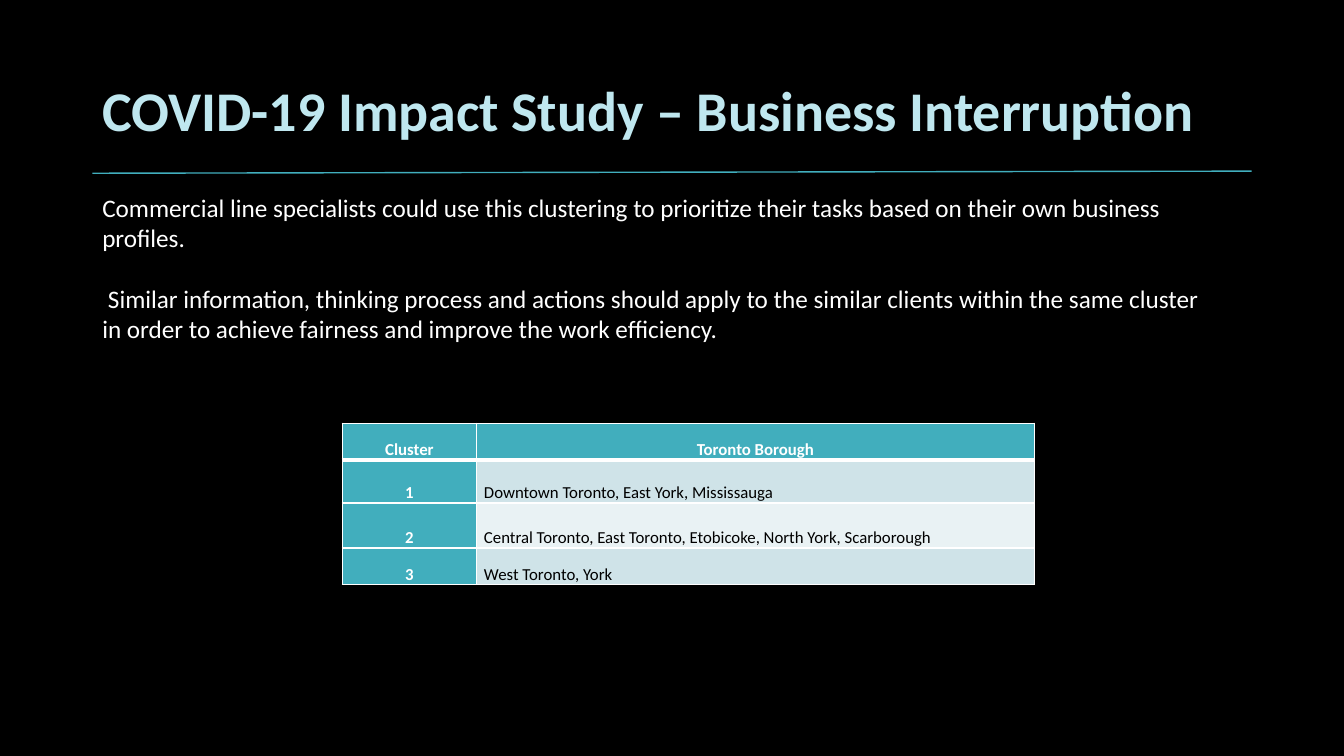
from pptx import Presentation
from pptx.dml.color import RGBColor
from pptx.enum.shapes import MSO_CONNECTOR
from pptx.enum.text import MSO_ANCHOR, MSO_AUTO_SIZE, PP_ALIGN
from pptx.oxml.ns import qn
from pptx.util import Pt
from lxml import etree

LEFT, CENTER = PP_ALIGN.LEFT, PP_ALIGN.CENTER
TOP, MIDDLE, BOTTOM = MSO_ANCHOR.TOP, MSO_ANCHOR.MIDDLE, MSO_ANCHOR.BOTTOM
STRAIGHT, NO_FIT = MSO_CONNECTOR.STRAIGHT, MSO_AUTO_SIZE.NONE


class Theme:
    font = "Calibri"
    black, white = "000000", "FFFFFF"
    teal, pale = "41AEBD", "BFE7EF"
    bands = ("CFE3E8", "E9F2F4")
    head, body, small = 40, 18, 12


def px(n):
    return n * 9525


def write(frame, *lines, size, color, bold=False, align=LEFT, anchor=TOP,
          leading=1.0, gap=0):
    frame.word_wrap = True
    frame.vertical_anchor = anchor
    for i, line in enumerate(lines):
        para = frame.add_paragraph() if i else frame.paragraphs[0]
        para.alignment = align
        para.line_spacing = leading
        para.space_before = Pt(gap if i else 0)
        run = para.add_run()
        run.text = line
        run.font.name = Theme.font
        run.font.size = Pt(size)
        run.font.bold = bold
        run.font.color.rgb = RGBColor.from_string(color)


deck = Presentation()
deck.slide_width, deck.slide_height = px(1280), px(720)
slide = deck.slides.add_slide(deck.slide_layouts[5])
slide.background.fill.solid()
slide.background.fill.fore_color.rgb = RGBColor.from_string(Theme.black)

# Title
title = slide.shapes.title
title.left, title.top, title.width, title.height = map(px, (88, 38, 1135, 139))
title.text_frame.auto_size = NO_FIT
write(title.text_frame, "COVID-19 Impact Study – Business Interruption",
      size=Theme.head, color=Theme.pale, bold=True, anchor=MIDDLE, leading=0.9)

# Rule under the title
rule = slide.shapes.add_connector(STRAIGHT, *map(px, (88, 165, 1192, 163)))
rule.line.color.rgb = RGBColor.from_string(Theme.teal)
rule.line.width = Pt(1)
etree.SubElement(rule.line._get_or_add_ln().getparent(), qn("a:effectLst"))

# Body text
body = slide.shapes.add_textbox(*map(px, (88, 178, 1073, 213)))
write(body.text_frame,
      "Commercial line specialists could use this clustering to prioritize "
      "their tasks based on their own business profiles.",
      " Similar information, thinking process and actions should apply to the "
      "similar clients within the same cluster in order to achieve fairness "
      "and improve the work efficiency.",
      size=Theme.body, color=Theme.white, gap=22)

# Cluster table
rows = [
    ("Cluster", "Toronto Borough"),
    ("1", "Downtown Toronto, East York, Mississauga"),
    ("2", "Central Toronto, East Toronto, Etobicoke, North York, Scarborough"),
    ("3", "West Toronto, York"),
]
widths, heights = (128, 531), (35, 41, 43, 35)
table = slide.shapes.add_table(
    len(rows), len(widths), px(326), px(403),
    px(sum(widths)), px(sum(heights))).table
table.first_row = table.horz_banding = False
for col, width in zip(table.columns, widths):
    col.width = px(width)

for r, row in enumerate(rows):
    table.rows[r].height = px(heights[r])
    for c, text in enumerate(row):
        cell = table.cell(r, c)
        label = r == 0 or c == 0
        cell.margin_left = cell.margin_right = px(7)
        cell.margin_top = cell.margin_bottom = 0
        cell.vertical_anchor = BOTTOM

        # Borders, with a thick one below the header
        props = cell._tc.get_or_add_tcPr()
        for side in "LRTB":
            thick = (r, side) in ((0, "B"), (1, "T"))
            edge = etree.SubElement(props, qn("a:ln" + side),
                                    w=str(Pt(3 if thick else 1)))
            paint = etree.SubElement(edge, qn("a:solidFill"))
            etree.SubElement(paint, qn("a:srgbClr"), val=Theme.white)

        shade = Theme.teal if label else Theme.bands[(r - 1) % 2]
        cell.fill.solid()
        cell.fill.fore_color.rgb = RGBColor.from_string(shade)
        write(cell.text_frame, text, size=Theme.small, bold=label,
              color=Theme.white if label else Theme.black,
              align=CENTER if label else LEFT, anchor=BOTTOM, leading=1.07)
        # Cell wrapping and anchor belong to the cell, not its text body
        cell.text_frame.word_wrap = None
        cell.text_frame.vertical_anchor = None

deck.save("out.pptx")
